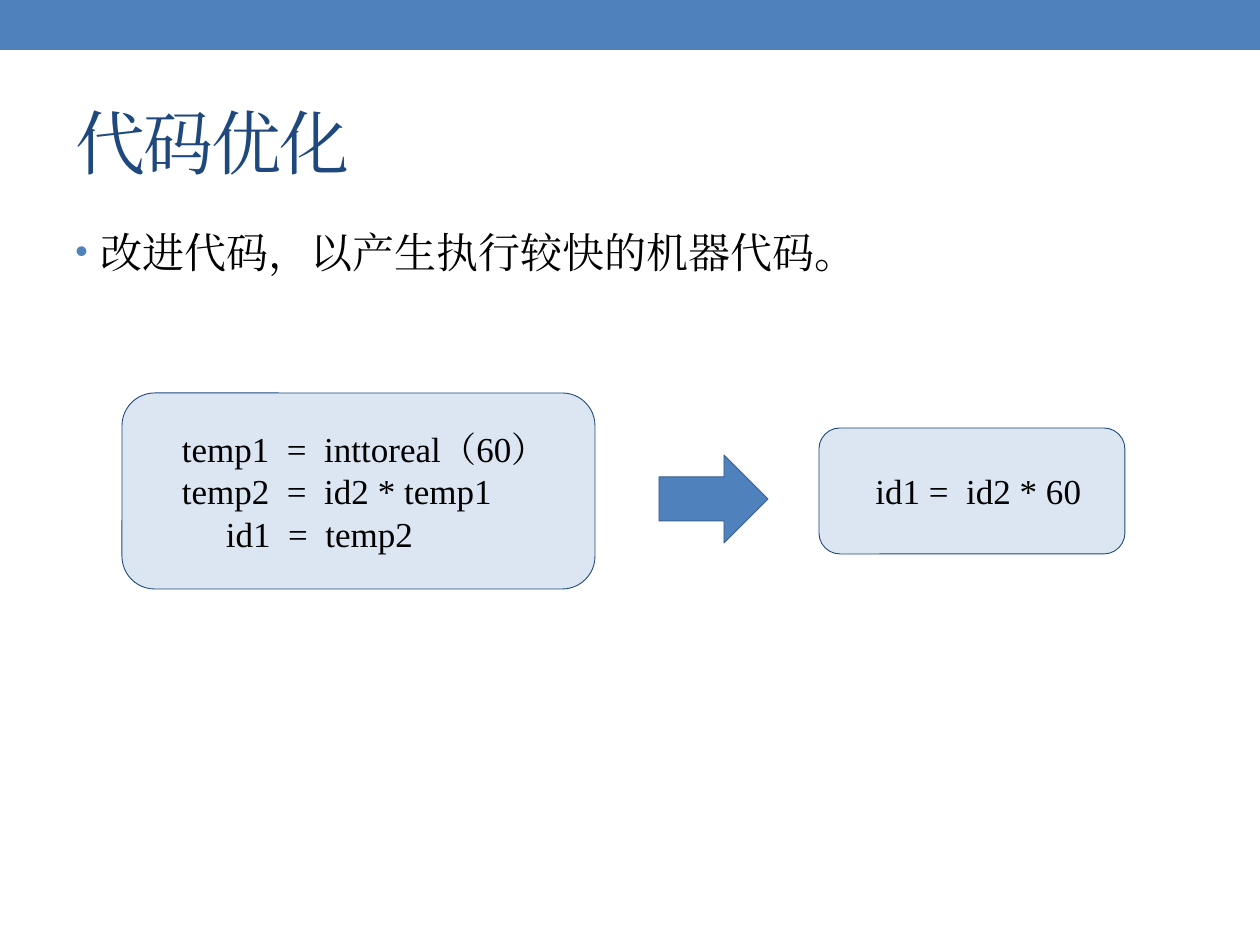
from lxml.etree import SubElement
from pptx import Presentation
from pptx.dml.color import RGBColor
from pptx.enum.shapes import MSO_SHAPE
from pptx.enum.text import MSO_ANCHOR, PP_ALIGN
from pptx.oxml.ns import qn
from pptx.util import Pt

PX = 914400 // 126
FONT = "Times New Roman"
BLUE, NAVY, PALE, BLACK = "4F81BD", "1F497D", "DCE6F2", "000000"

TITLE = "代码优化"
POINT = "改进代码，以产生执行较快的机器代码。"
STEP = 38
CODES = [
    ((122, 393, 473, 196), [
        ("temp1  =  inttoreal（60）", STEP),
        ("temp2  =  id2 * temp1", STEP),
        ("id1  =  temp2", STEP + 44),
    ]),
    ((819, 428, 306, 126), [("id1 =  id2 * 60", STEP)]),
]
SHAPE = MSO_SHAPE


def color(code):
    return RGBColor.from_string(code)


def scale(box):
    return [n * PX for n in box]


def draw(slide, kind, box, fill, line=None):
    shape = slide.shapes.add_shape(kind, *scale(box))
    shape.shadow.inherit = False
    shape.fill.solid()
    shape.fill.fore_color.rgb = color(fill)
    if line:
        shape.line.color.rgb = color(line)
        shape.line.width = Pt(0.5)
    else:
        shape.line.fill.background()
    return shape


def write(para, text, size, ink):
    run = para.add_run()
    run.text = text
    run.font.name = FONT
    run.font.size = Pt(size)
    run.font.color.rgb = color(ink)
    props = run.font._element
    SubElement(props, qn("a:ea")).set("typeface", FONT)
    return props


def indent(para, left, first=0):
    props = para._p.get_or_add_pPr()
    props.set("marL", str(left * PX))
    props.set("indent", str(first * PX))
    return props


def label(slide, box, anchor):
    frame = slide.shapes.add_textbox(*scale(box)).text_frame
    frame.word_wrap = True
    frame.vertical_anchor = anchor
    return frame.paragraphs[0]


def bullet(para):
    props = indent(para, 25, -25)
    tint = SubElement(props, qn("a:buClr"))
    SubElement(tint, qn("a:srgbClr")).set("val", BLUE)
    SubElement(props, qn("a:buSzPct")).set("val", "85000")
    SubElement(props, qn("a:buFont")).set("typeface", "Arial")
    SubElement(props, qn("a:buChar")).set("char", "•")


def code(slide, box, lines):
    frame = draw(slide, SHAPE.ROUNDED_RECTANGLE, box, PALE, NAVY).text_frame
    frame.word_wrap = True
    frame.vertical_anchor = MSO_ANCHOR.MIDDLE
    for i, (text, left) in enumerate(lines):
        para = frame.add_paragraph() if i else frame.paragraphs[0]
        para.alignment = PP_ALIGN.LEFT
        indent(para, left)
        write(para, text, 20, BLACK)


def main():
    """Build the code optimisation slide."""
    deck = Presentation()
    deck.slide_width, deck.slide_height = scale((1260, 945))
    slide = deck.slides.add_slide(deck.slide_layouts[6])
    draw(slide, SHAPE.RECTANGLE, (0, 0, 1260, 50), BLUE)
    head = label(slide, (63, 73, 1134, 136), MSO_ANCHOR.MIDDLE)
    write(head, TITLE, 40, NAVY).set("spc", "-100")
    body = label(slide, (63, 220, 1134, 672), MSO_ANCHOR.TOP)
    body.space_before = Pt(5)
    bullet(body)
    write(body, POINT, 24, BLACK)
    draw(slide, SHAPE.RIGHT_ARROW, (659, 455, 109, 88), BLUE, "3A5F8C")
    for box, lines in CODES:
        code(slide, box, lines)
    deck.save("out.pptx")


if __name__ == "__main__":
    main()
